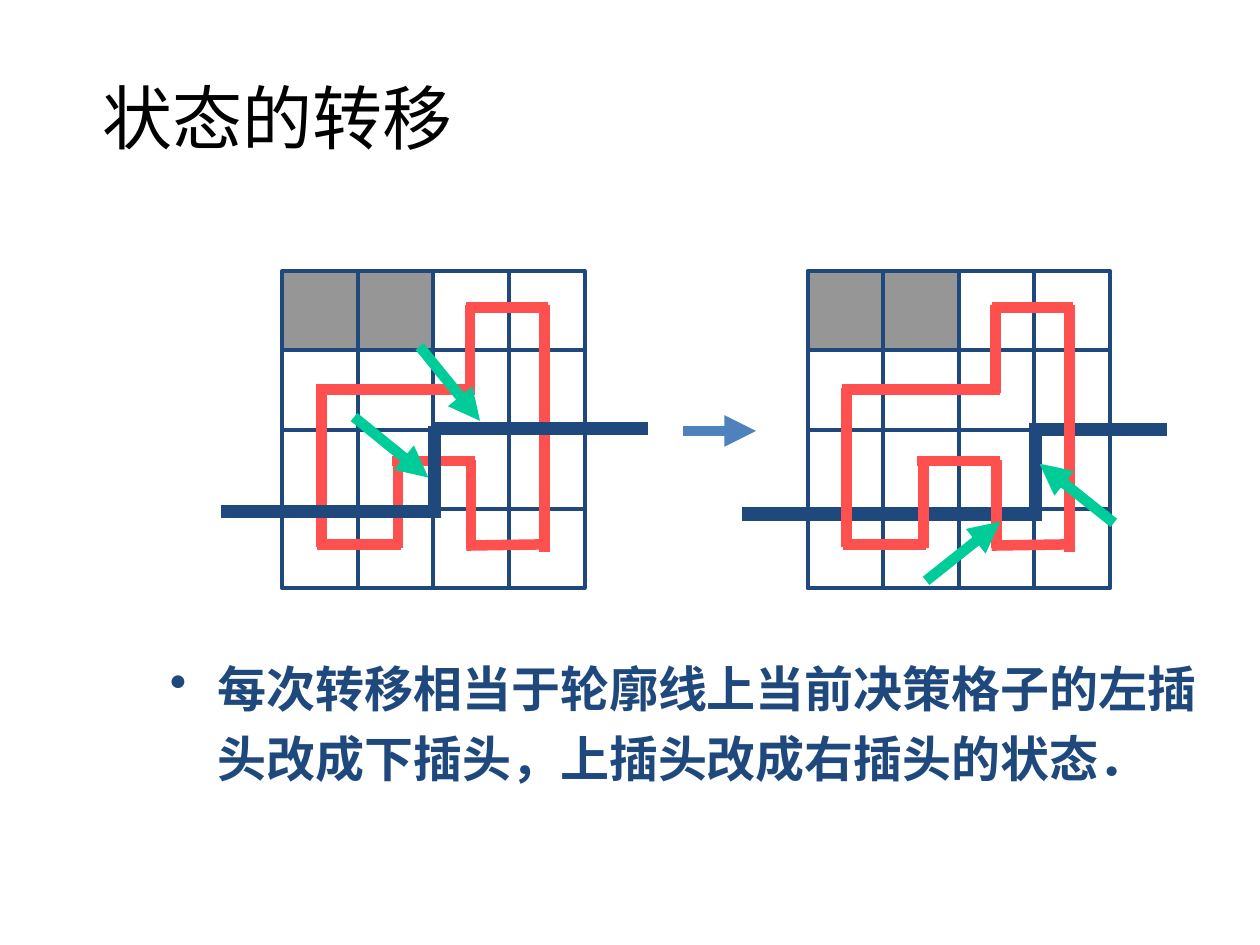
import pptx
import pptx.dml.color
import pptx.enum.shapes
import pptx.enum.text
import pptx.oxml.xmlchemy
import pptx.util
from pptx.util import Inches, Pt

RGBColor = pptx.dml.color.RGBColor
NAVY = RGBColor(0x1F, 0x49, 0x7D)
BLUE = RGBColor(0x4F, 0x81, 0xBD)
RED = RGBColor(0xFF, 0x50, 0x50)
GREEN = RGBColor(0x00, 0xCC, 0x99)
GRAY = RGBColor(0x96, 0x96, 0x96)
BLACK = RGBColor(0, 0, 0)
FONT = "Calibri"

# Content
TITLE = "状态的转移"
RULE = "每次转移相当于轮廓线上当前决策格子的左插头改成下插头，上插头改成右插头的状态．"

GRID_SIZE = 4
CELL_W, CELL_H = 0.6, 0.63
GRID_TOP = 2.15
BLOCKED = [(0, 0), (0, 1)]  # row, column

# Lines are (x1, y1, x2, y2); the loop is measured from the grid's left edge
LOOP = [
    (0.31, 3.08, 0.31, 4.34),
    (0.27, 3.09, 1.53, 3.09),
    (1.49, 2.42, 1.49, 3.12),
    (1.46, 2.44, 2.11, 2.44),
    (2.08, 2.42, 2.08, 4.38),
    (1.46, 4.33, 2.12, 4.32),
    (1.50, 3.65, 1.50, 4.35),
    (0.87, 3.66, 1.53, 3.66),
    (0.92, 3.64, 0.92, 4.35),
    (0.28, 4.32, 0.94, 4.32),
]
BEFORE = {
    "left": 2.24,
    "contour": [(1.75, 4.06, 3.47, 4.06), (3.42, 3.4, 5.14, 3.4), (3.45, 3.38, 3.45, 4.11)],
    "contour_on_top": True,
}
AFTER = {
    "left": 6.41,
    "contour": [(5.89, 4.08, 8.27, 4.08), (8.17, 3.41, 9.26, 3.41), (8.22, 3.38, 8.22, 4.11)],
    "contour_on_top": False,
}
STEP_ARROW = (5.42, 3.42, 6, 3.42)
PLUG_ARROWS = [
    (2.81, 3.31, 3.4, 3.79),
    (8.84, 4.15, 8.25, 3.68),
    (3.33, 2.75, 3.81, 3.34),
    (7.35, 4.61, 7.94, 4.14),
]


def add_xml(parent, tag, **attributes):
    element = pptx.oxml.xmlchemy.OxmlElement(tag)
    for name, value in attributes.items():
        element.set(name, value)
    parent.append(element)
    return element


def add_line(shapes, ends, color, width, arrow=False):
    line = shapes.add_connector(
        pptx.enum.shapes.MSO_CONNECTOR.STRAIGHT, *(Inches(v) for v in ends))
    line.line.color.rgb = color
    line.line.width = Pt(width)
    if arrow:
        add_xml(line.get_or_add_ln(), "a:tailEnd", type="triangle")
    add_xml(line._element.spPr, "a:effectLst")


def add_cell(shapes, left, row, column):
    cell = shapes.add_shape(
        pptx.enum.shapes.MSO_SHAPE.RECTANGLE,
        Inches(left + column * CELL_W), Inches(GRID_TOP + row * CELL_H),
        Inches(CELL_W), Inches(CELL_H))
    cell.shadow.inherit = False
    if (row, column) in BLOCKED:
        cell.fill.solid()
        cell.fill.fore_color.rgb = GRAY
    else:
        cell.fill.background()
    cell.line.color.rgb = NAVY
    cell.line.width = Pt(2.25)


def add_board(slide, board):
    shapes = slide.shapes.add_group_shape().shapes
    left = board["left"]
    grid = [(row, column) for row in range(GRID_SIZE) for column in range(GRID_SIZE)]
    contour = [(ends, NAVY, 7.5) for ends in board["contour"]]
    loop = [((left + x1, y1, left + x2, y2), RED, 6) for x1, y1, x2, y2 in LOOP]

    below, above = ([], loop + contour) if board["contour_on_top"] else (contour, loop)
    for line in below:
        add_line(shapes, *line)
    for row, column in grid:
        add_cell(shapes, left, row, column)
    for line in above:
        add_line(shapes, *line)


def add_text(slide, box, text, size, color, bold=False):
    frame = slide.shapes.add_textbox(*(Inches(v) for v in box)).text_frame
    frame.word_wrap = True
    paragraph = frame.paragraphs[0]
    paragraph.text = text
    return frame, paragraph


def set_font(paragraph, size, color, bold=False):
    paragraph.font.name = FONT
    paragraph.font.size = Pt(size)
    paragraph.font.color.rgb = color
    paragraph.font.bold = bold


def main():
    deck = pptx.Presentation()
    deck.slide_width, deck.slide_height = Inches(10), Inches(7.5)
    slide = deck.slides.add_slide(deck.slide_layouts[6])

    # Title
    frame, title = add_text(slide, (0.5, 0.3, 3.41, 1.25), TITLE, 40, BLACK)
    frame.vertical_anchor = pptx.enum.text.MSO_ANCHOR.MIDDLE
    title.alignment = pptx.enum.text.PP_ALIGN.CENTER
    set_font(title, 40, BLACK)

    # Boards before and after the step
    add_board(slide, BEFORE)
    add_line(slide.shapes, STEP_ARROW, BLUE, 6, arrow=True)
    add_board(slide, AFTER)

    # Bulleted rule
    frame, rule = add_text(slide, (1.25, 5.08, 8.5, 1.25), RULE, 28, NAVY)
    rule.line_spacing = 1.2
    properties = rule._p.get_or_add_pPr()
    properties.set("marL", str(Inches(0.38)))
    properties.set("indent", str(-Inches(0.38)))
    add_xml(add_xml(properties, "a:buClr"), "a:srgbClr", val=str(NAVY))
    add_xml(properties, "a:buChar", char="•")
    set_font(rule, 28, NAVY, bold=True)

    # Arrows to the plugs that change
    for ends in PLUG_ARROWS:
        add_line(slide.shapes, ends, GREEN, 6, arrow=True)

    deck.save("out.pptx")


if __name__ == "__main__":
    main()
